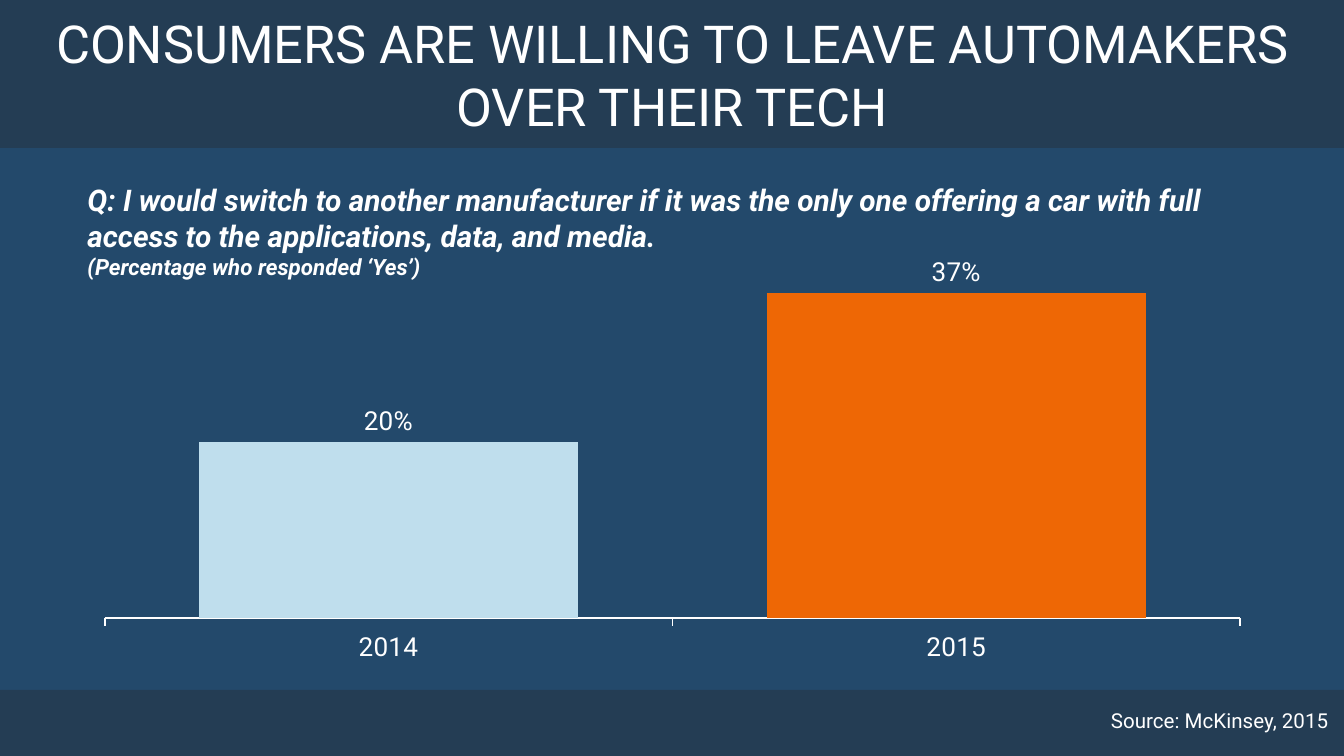
from lxml import etree
from pptx import Presentation
from pptx.chart.data import CategoryChartData
from pptx.dml.color import RGBColor
from pptx.enum.chart import XL_CHART_TYPE, XL_LABEL_POSITION, XL_TICK_MARK
from pptx.enum.shapes import MSO_SHAPE
from pptx.enum.text import MSO_ANCHOR, MSO_AUTO_SIZE, PP_ALIGN
from pptx.oxml.ns import qn
from pptx.util import Pt

COLUMN = XL_CHART_TYPE.COLUMN_CLUSTERED
OUTSIDE = XL_LABEL_POSITION.OUTSIDE_END
TICK_OUT, TICK_NONE = XL_TICK_MARK.OUTSIDE, XL_TICK_MARK.NONE
RECT = MSO_SHAPE.RECTANGLE
TOP, MIDDLE = MSO_ANCHOR.TOP, MSO_ANCHOR.MIDDLE
FIXED = MSO_AUTO_SIZE.NONE
LEFT, CENTER, RIGHT = PP_ALIGN.LEFT, PP_ALIGN.CENTER, PP_ALIGN.RIGHT

WHITE = RGBColor(0xFF, 0xFF, 0xFF)
BLUE = RGBColor(0x23, 0x49, 0x6B)
NAVY = RGBColor(0x24, 0x3D, 0x54)
PALE = RGBColor(0xBF, 0xDE, 0xED)
ORANGE = RGBColor(0xEE, 0x67, 0x05)

FONT = "Roboto"
WIDTH, HEIGHT = 1344, 756
SCALE = 914400 / 134.4


def emu(*lengths):
    return [round(n * SCALE) for n in lengths]


def style(font, size, bold=False, italic=False):
    font.name, font.size = FONT, Pt(size)
    font.bold, font.italic = bold, italic
    font.color.rgb = WHITE


def write(shape, box, lines, align=LEFT, anchor=TOP, **look):
    """Fill a placeholder with (text, size) lines, split by line breaks."""
    shape.left, shape.top, shape.width, shape.height = emu(*box)
    frame = shape.text_frame
    frame.word_wrap, frame.auto_size = True, FIXED
    frame.vertical_anchor = anchor
    para = frame.paragraphs[0]
    props = para._p.get_or_add_pPr()
    props.set("marL", "0")
    props.set("indent", "0")
    etree.SubElement(props, qn("a:buNone"))
    para.alignment, para.space_before = align, Pt(0)
    for i, (text, size) in enumerate(lines):
        if i:
            para.add_line_break()
        run = para.add_run()
        run.text = text
        style(run.font, size, **look)
    # Bring the text in front of what is already placed
    shape._element.getparent().append(shape._element)


def band(slide, box):
    bar = slide.shapes.add_shape(RECT, *emu(*box))
    bar.shadow.inherit = False
    bar.fill.solid()
    bar.fill.fore_color.rgb = NAVY
    bar.line.fill.background()


def header(slide, box):
    band(slide, box)
    title = "CONSUMERS ARE WILLING TO LEAVE AUTOMAKERS OVER THEIR TECH"
    write(slide.shapes.title, box, [(title, 28)], CENTER, MIDDLE)


def footer(slide, box):
    band(slide, box)
    x, y, w, h = box
    area = (x + w - 491, y + 3, 489, h - 12)
    write(slide.placeholders[2], area, [("Source: McKinsey, 2015", 11)],
          RIGHT, MIDDLE)


def place(chart, x, y, w, h):
    """Fix the inner plot area as fractions of the chart."""
    plot = chart._chartSpace.chart.plotArea
    for old in plot.findall(qn("c:layout")):
        plot.remove(old)
    layout = etree.Element(qn("c:layout"))
    manual = etree.SubElement(layout, qn("c:manualLayout"))
    rules = [("layoutTarget", "inner"), ("xMode", "edge"), ("yMode", "edge"),
             ("x", x), ("y", y), ("w", w), ("h", h)]
    for name, val in rules:
        etree.SubElement(manual, qn("c:" + name)).set("val", str(val))
    plot.insert(0, layout)


def columns(slide, box):
    data = CategoryChartData(number_format="0%")
    data.categories = ["2014", "2015"]
    data.add_series("Series 1", (0.2, 0.37))
    chart = slide.shapes.add_chart(COLUMN, *emu(*box), data).chart
    chart.has_legend = chart.has_title = False
    style(chart.font, 14)
    place(chart, 0.02, 0.09, 0.96, 0.77)

    # Axes
    value = chart.value_axis
    value.minimum_scale, value.maximum_scale = 0, 0.4
    value.has_major_gridlines = value.visible = False
    years = chart.category_axis
    years.major_tick_mark, years.minor_tick_mark = TICK_OUT, TICK_NONE
    years.format.line.color.rgb = WHITE
    years.format.line.width = Pt(1)

    # Columns and labels
    plot = chart.plots[0]
    plot.gap_width, plot.vary_by_categories = 50, False
    for i, color in enumerate((PALE, ORANGE)):
        fill = plot.series[0].points[i].format.fill
        fill.solid()
        fill.fore_color.rgb = color
    plot.has_data_labels = True
    labels = plot.data_labels
    labels.show_value, labels.position = True, OUTSIDE
    labels.number_format, labels.number_format_is_linked = "0%", False
    style(labels.font, 14)


def survey(slide, box):
    x, y, w, h = box
    columns(slide, (x + 81, y + 78, 1183, 456))
    question = ("Q: I would switch to another manufacturer if it was the only "
                "one offering a car with full access to the applications, "
                "data, and media.")
    lines = [(question, 16), ("(Percentage who responded ‘Yes’)", 12)]
    write(slide.placeholders[1], (x + 74, y + 27, 1183, 128), lines,
          bold=True, italic=True)


def main():
    deck = Presentation()
    deck.slide_width, deck.slide_height = emu(WIDTH, HEIGHT)
    slide = deck.slides.add_slide(deck.slide_layouts[3])
    back = slide.background.fill
    back.solid()
    back.fore_color.rgb = BLUE
    header(slide, (0, 0, WIDTH, 148))
    footer(slide, (0, 690, WIDTH, 66))
    survey(slide, (0, 148, WIDTH, 542))
    deck.save("out.pptx")


if __name__ == "__main__":
    main()
